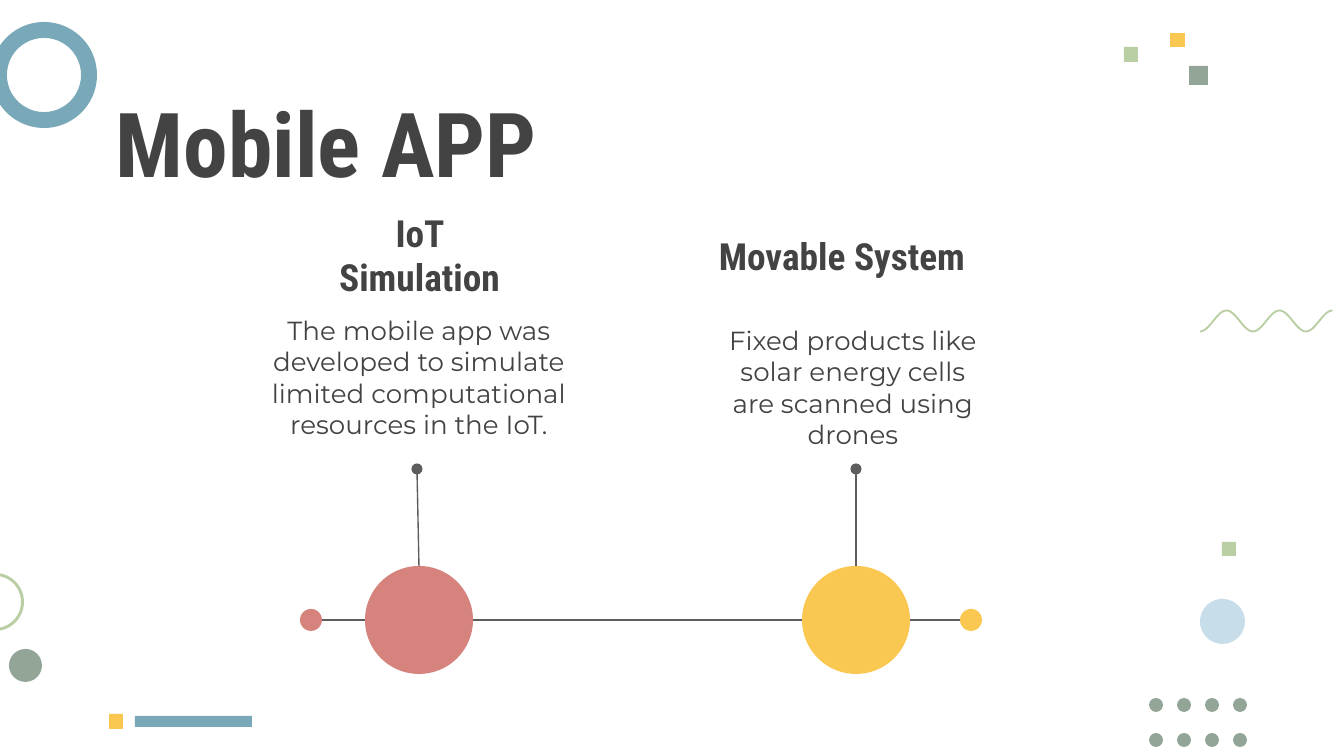
"""Build the Mobile APP slide: two captioned milestones on a decorated page."""
from dataclasses import dataclass
from math import cos, pi

from lxml import etree
from pptx import Presentation
from pptx.dml.color import RGBColor
from pptx.enum.shapes import MSO_CONNECTOR, MSO_SHAPE
from pptx.enum.text import MSO_ANCHOR, PP_ALIGN
from pptx.oxml.ns import qn
from pptx.util import Pt

EMU_PER_PX = 914400 / 134.4
OVAL, RECT, RING = MSO_SHAPE.OVAL, MSO_SHAPE.RECTANGLE, MSO_SHAPE.DONUT
STRAIGHT = MSO_CONNECTOR.STRAIGHT
MIDDLE = MSO_ANCHOR.MIDDLE
LEFT, CENTER = PP_ALIGN.LEFT, PP_ALIGN.CENTER
HEAD_FONT, BODY_FONT = "Roboto Condensed", "Montserrat"
INK, LINE = "434343", "5D5D5D"
SAGE, GREEN, BLUE = "93A597", "B9CEA2", "79A8B8"
YELLOW, RED, PALE = "FAC750", "D5837C", "C7DDEA"
AXIS_Y = 620


@dataclass
class Figure:
    """A filled preset shape; ring is the donut's relative thickness."""
    kind: MSO_SHAPE
    x: int
    y: int
    w: int
    h: int
    color: str
    ring: float = 0


@dataclass
class Label:
    """A text box with one paragraph."""
    x: int
    y: int
    w: int
    h: int
    text: str
    size: int
    font: str = HEAD_FONT
    align: PP_ALIGN = CENTER


DECOR = [
    Figure(OVAL, 1149 + 28 * col, 698 + 35 * row, 14, 14, SAGE)
    for row in range(2) for col in range(4)
] + [
    Figure(RING, -9, 22, 106, 106, BLUE, 0.15),
    Figure(RING, -34, 573, 58, 58, GREEN, 0.05),
    Figure(OVAL, 1200, 599, 45, 45, PALE),
    Figure(RECT, 135, 716, 117, 11, BLUE),
    Figure(RECT, 109, 714, 14, 15, YELLOW),
    Figure(RECT, 1189, 66, 19, 19, SAGE),
    Figure(RECT, 1124, 47, 14, 15, GREEN),
    Figure(RECT, 1170, 33, 15, 14, YELLOW),
    Figure(RECT, 1222, 542, 14, 14, GREEN),
    Figure(OVAL, 9, 649, 33, 33, SAGE),
]
LABELS = [
    Label(103, 114, 1175, 55, "Mobile APP", 48, align=LEFT),
    Label(300, 214, 239, 81, "IoT Simulation", 20),
    Label(231, 323, 376, 108, "The mobile app was developed to simulate limited "
          "computational resources in the IoT.", 14, BODY_FONT),
    Label(653, 215, 378, 81, "Movable System", 20),
    Label(715, 333, 276, 108, "Fixed products like solar energy cells are scanned "
          "using drones", 14, BODY_FONT),
]
MILESTONES = [
    Figure(OVAL, 365, 566, 108, 108, RED),
    Figure(OVAL, 802, 566, 108, 108, YELLOW),
]
AXIS_ENDS = [
    Figure(OVAL, 300, 609, 22, 22, RED),
    Figure(OVAL, 960, 609, 22, 22, YELLOW),
]
AXIS_SPANS = [(322, 365), (473, 802), (910, 960)]
STEM_STARTS = [417, 856]


def px(value: float) -> int:
    """Turn pixels into EMU."""
    return round(value * EMU_PER_PX)


def rgb(color: str) -> RGBColor:
    """Turn a hex string into a colour."""
    return RGBColor.from_string(color)


def add_figure(s, f: Figure):
    """Draw a filled shape without outline."""
    sp = s.shapes.add_shape(f.kind, px(f.x), px(f.y), px(f.w), px(f.h))
    sp.shadow.inherit = False
    sp.fill.solid()
    sp.fill.fore_color.rgb = rgb(f.color)
    sp.line.fill.background()
    if f.ring:
        sp.adjustments[0] = f.ring
    return sp


def add_label(s, label: Label) -> None:
    """Draw a text box."""
    tf = s.shapes.add_textbox(px(label.x), px(label.y), px(label.w), px(label.h)).text_frame
    tf.word_wrap = True
    tf.vertical_anchor = MIDDLE
    tf.margin_left = tf.margin_right = tf.margin_top = tf.margin_bottom = px(13)
    p = tf.paragraphs[0]
    p.text = label.text
    p.alignment = label.align
    p.font.name = label.font
    p.font.size = Pt(label.size)
    p.font.bold = label.font == HEAD_FONT
    p.font.color.rgb = rgb(INK)


def add_line(s, x1: int, y1: int, x2: int, y2: int):
    """Draw a thin straight connector."""
    c = s.shapes.add_connector(STRAIGHT, px(x1), px(y1), px(x2), px(y2))
    c.line.color.rgb = rgb(LINE)
    c.line.width = Pt(0.75)
    etree.SubElement(c._element.spPr, qn("a:effectLst"))
    return c


def add_stem(s, x: int, milestone) -> None:
    """Draw a dot-headed line down to the top of a milestone."""
    c = add_line(s, x, 469, x, 566)
    c.end_connect(milestone, 0)
    etree.SubElement(c.line._get_or_add_ln(), qn("a:headEnd"), type="oval")


def add_wave(s, x: int, y: int, period: int, height: int, cycles: float) -> None:
    """Draw an open cosine wave around the centre line y."""
    steps = round(cycles * 24)
    points = [(px(x + period * i / 24), px(y + height / 2 * cos(2 * pi * i / 24)))
              for i in range(steps + 1)]
    builder = s.shapes.build_freeform(*points[0])
    builder.add_line_segments(points[1:], close=False)
    sp = builder.convert_to_shape()
    sp.shadow.inherit = False
    sp.fill.background()
    sp.line.color.rgb = rgb(GREEN)
    sp.line.width = Pt(1)


def main() -> None:
    """Build and save the slide."""
    prs = Presentation()
    prs.slide_width, prs.slide_height = px(1344), px(756)
    s = prs.slides.add_slide(prs.slide_layouts[6])
    for f in DECOR:
        add_figure(s, f)
    add_wave(s, 1200, 321, 53, 21, 2.5)
    for label in LABELS:
        add_label(s, label)
    milestones = [add_figure(s, f) for f in MILESTONES]
    for f in AXIS_ENDS:
        add_figure(s, f)
    for x1, x2 in AXIS_SPANS:
        add_line(s, x1, AXIS_Y, x2, AXIS_Y)
    for x, milestone in zip(STEM_STARTS, milestones):
        add_stem(s, x, milestone)
    prs.save("out.pptx")


if __name__ == "__main__":
    main()
